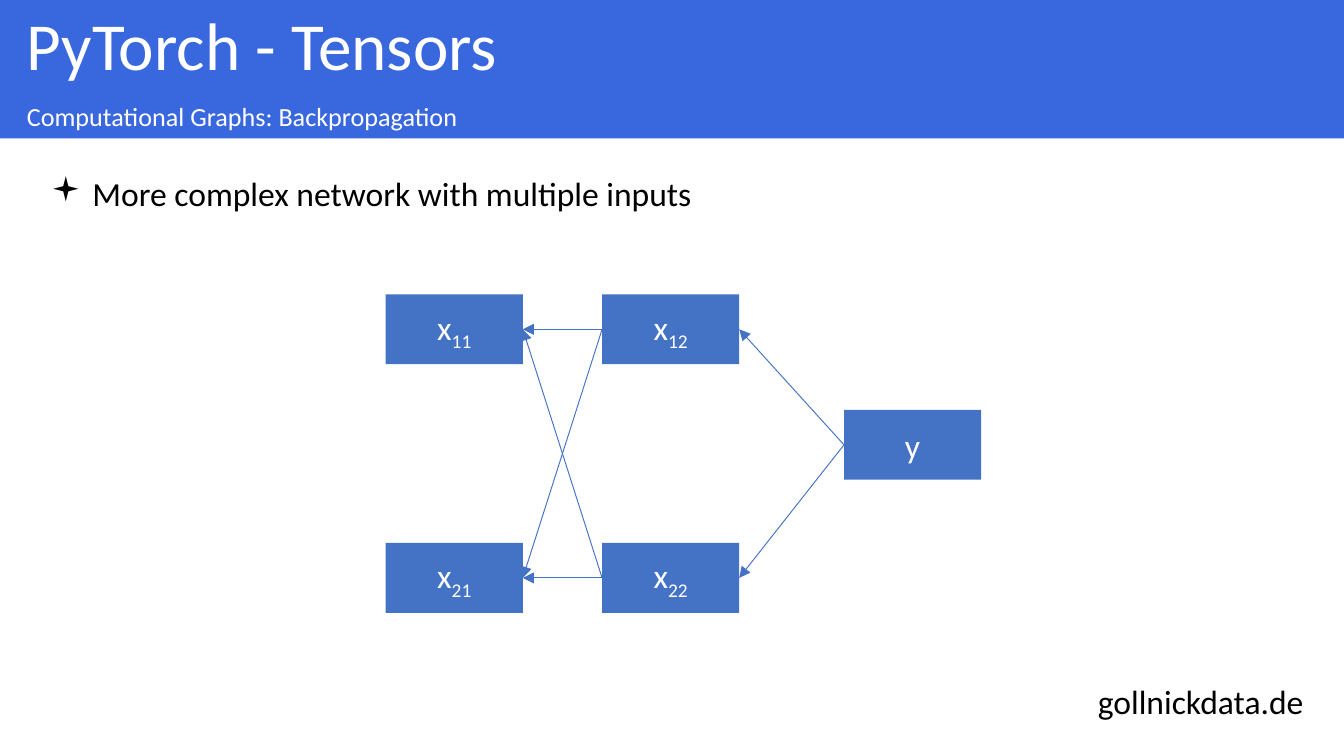
from lxml import etree
from pptx import Presentation
from pptx.dml import color
from pptx.enum import shapes, text
from pptx.oxml import ns
from pptx.util import Inches, Pt

BANNER, NODE, WHITE, BLACK = "3967DE", "4472C4", "FFFFFF", "000000"
FONT, BULLET_FONT = "Calibri", "Wingdings"

# text, top, height, size; the bars overlap slightly so that no seam shows
HEADINGS = [
    ("PyTorch - Tensors", 0, 0.73, 36),
    ("Computational Graphs: Backpropagation", 0.72, 0.31, 14),
]
BULLET = "More complex network with multiple inputs"
FOOTER = "gollnickdata.de"

# (letter, index): left, top
NODES = {
    ("x", "11"): (2.87, 2.19),
    ("x", "12"): (4.48, 2.19),
    ("x", "21"): (2.87, 4.04),
    ("x", "22"): (4.48, 4.04),
    ("y", ""): (6.28, 3.05),
}
NODE_SIZE = (1.02, 0.52)
# gradient flow, from index to index ("" is y)
EDGES = [("22", "21"), ("", "22"), ("12", "11"),
         ("", "12"), ("12", "21"), ("22", "11")]


def rgb(value):
    return color.RGBColor.from_string(value)


def add_xml(parent, tag, **attributes):
    return etree.SubElement(parent, ns.qn(tag), attributes)


def write(shape, words, size=18, ink=BLACK, align=text.PP_ALIGN.LEFT,
          anchor=text.MSO_ANCHOR.TOP, inset=0.1, spacing=None, subscript="", bullet=""):
    frame = shape.text_frame
    frame.word_wrap = True
    frame.vertical_anchor = anchor
    frame.margin_left = Inches(inset)
    paragraph = frame.paragraphs[0]
    if bullet:
        properties = paragraph._p.get_or_add_pPr()
        properties.set("marL", str(Inches(0.31)))
        properties.set("indent", str(-Inches(0.31)))
        add_xml(properties, "a:buFont", typeface=BULLET_FONT)
        add_xml(properties, "a:buChar", char=bullet)
    paragraph.alignment = align
    if spacing:
        paragraph.line_spacing = spacing
    for part, baseline in ((words, 0), (subscript, -25000)):
        if not part:
            continue
        run = paragraph.add_run()
        run.text = part
        run.font.name = FONT
        run.font.size = Pt(size)
        run.font.color.rgb = rgb(ink)
        if baseline:
            run.font._element.set("baseline", str(baseline))


def add_box(slide, left, top, width, height, fill):
    box = slide.shapes.add_shape(shapes.MSO_SHAPE.RECTANGLE, Inches(left),
                                 Inches(top), Inches(width), Inches(height))
    box.shadow.inherit = False
    box.fill.solid()
    box.fill.fore_color.rgb = rgb(fill)
    box.line.fill.background()
    return box


def add_textbox(slide, left, top, width, height):
    return slide.shapes.add_textbox(Inches(left), Inches(top), Inches(width), Inches(height))


def add_arrow(slide, source, target):
    """Point from the left side of source to the right side of target."""
    arrow = slide.shapes.add_connector(shapes.MSO_CONNECTOR.STRAIGHT, 0, 0, 0, 0)
    arrow.begin_connect(source, 1)
    arrow.end_connect(target, 3)
    arrow.line.color.rgb = rgb(NODE)
    arrow.line.width = Pt(0.5)
    add_xml(arrow.line._get_or_add_ln(), "a:tailEnd", type="triangle")
    add_xml(arrow._element.spPr, "a:effectLst")


def main():
    deck = Presentation()
    deck.slide_width = Inches(10)
    deck.slide_height = deck.slide_width * 9 // 16
    slide = deck.slides.add_slide(deck.slide_layouts[6])

    write(add_textbox(slide, 8.07, 5.02, 1.89, 0.4), FOOTER)
    for words, top, height, size in HEADINGS:
        write(add_box(slide, 0, top, 10, height, BANNER), words, size=size, ink=WHITE,
              anchor=text.MSO_ANCHOR.MIDDLE, inset=0.2, spacing=0.9)
    write(add_textbox(slide, 0.28, 1.24, 8.9, 0.4), BULLET, bullet="▪")

    nodes = {}
    for (letter, index), (left, top) in NODES.items():
        nodes[index] = add_box(slide, left, top, *NODE_SIZE, NODE)
        write(nodes[index], letter, ink=WHITE, align=text.PP_ALIGN.CENTER,
              anchor=text.MSO_ANCHOR.MIDDLE, subscript=index)
    for source, target in EDGES:
        add_arrow(slide, nodes[source], nodes[target])

    deck.save("out.pptx")


if __name__ == "__main__":
    main()
